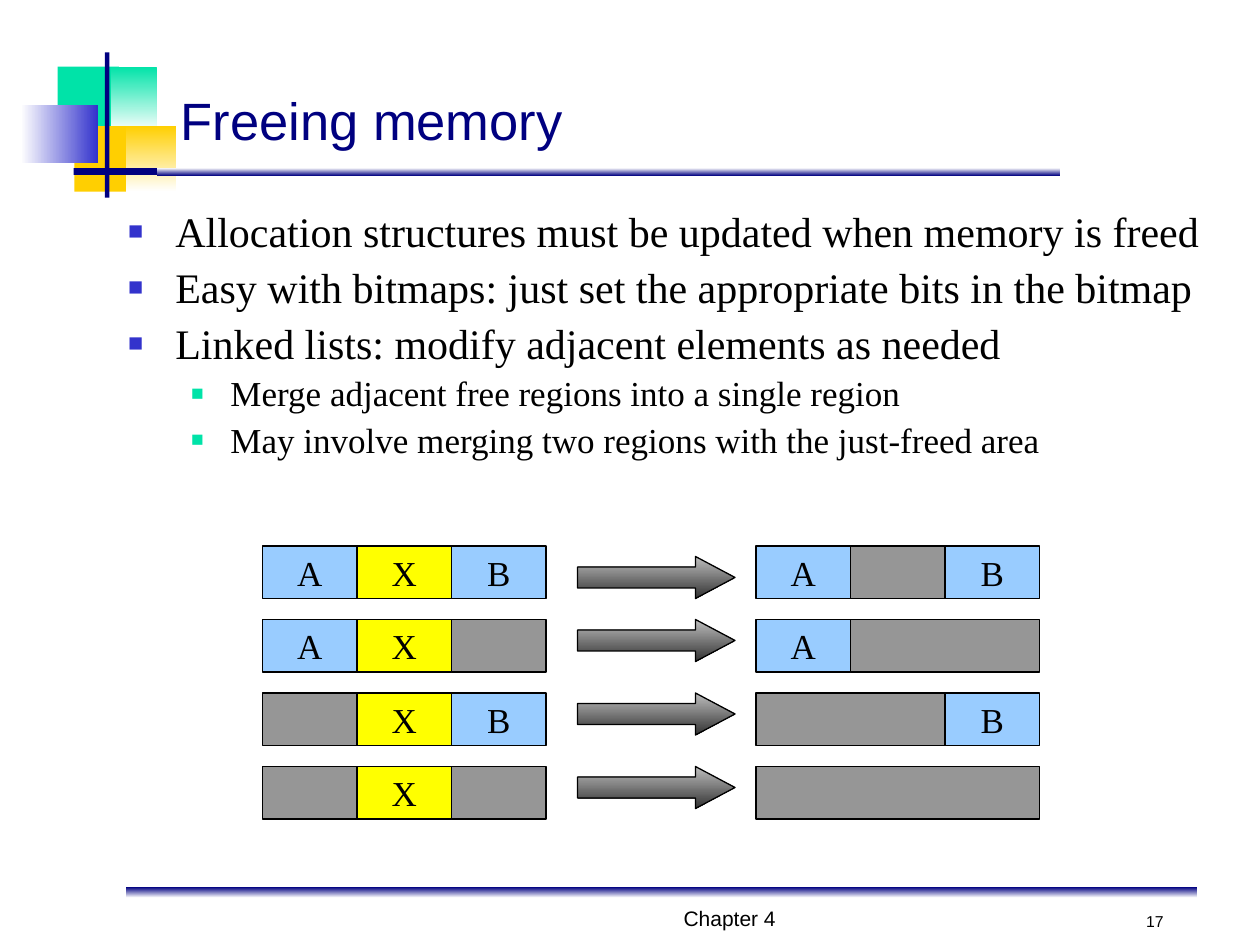
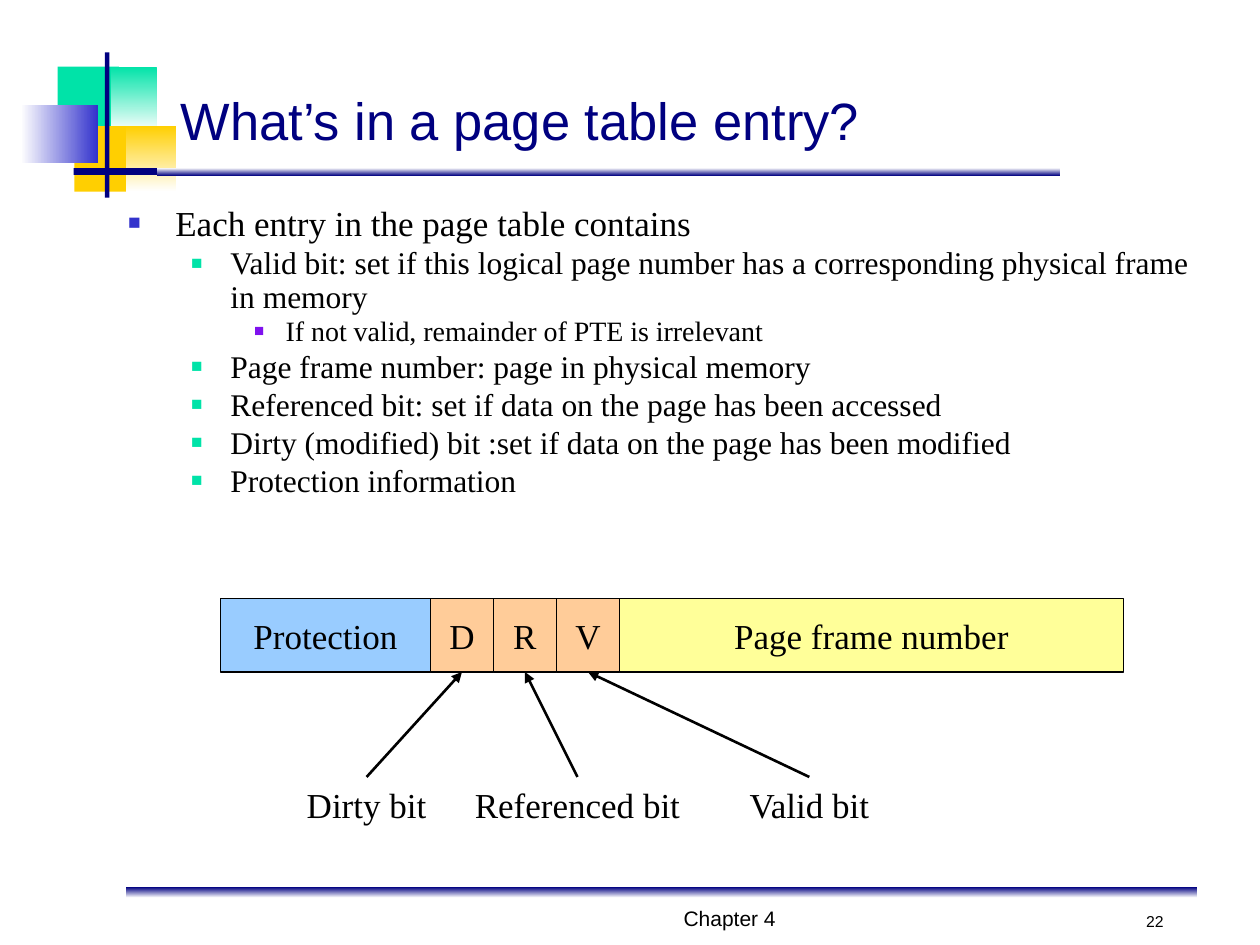
from itertools import groupby

from lxml import etree
from pptx import Presentation
from pptx.dml.color import RGBColor
from pptx.enum import shapes, text
from pptx.oxml import ns
from pptx.util import Pt

NAVY = RGBColor(0x00, 0x00, 0x80)
BLUE = RGBColor(0x33, 0x33, 0xCC)
GREEN = RGBColor(0x00, 0xE3, 0xA8)
GOLD = RGBColor(0xFF, 0xCF, 0x01)
PURPLE = RGBColor(0x7F, 0x11, 0xEE)
SKY = RGBColor(0x99, 0xCC, 0xFF)
YELLOW = RGBColor(0xFF, 0xFF, 0x00)
CREAM = RGBColor(0xFF, 0xFF, 0x99)
PEACH = RGBColor(0xFF, 0xCC, 0x99)
GRAY = RGBColor(0x96, 0x96, 0x96)
DARK = RGBColor(0x33, 0x33, 0x33)
LIGHT = RGBColor(0xBE, 0xBE, 0xBE)
BLACK = RGBColor(0x00, 0x00, 0x00)
WHITE = RGBColor(0xFF, 0xFF, 0xFF)

SANS, SERIF = "Arial", "Times New Roman"
DOWN, RIGHT = 270, 0  # gradient directions
ALIGN, ANCHOR = text.PP_ALIGN, text.MSO_ANCHOR
RECT, ARROW = shapes.MSO_SHAPE.RECTANGLE, shapes.MSO_SHAPE.RIGHT_ARROW

# Per list level: left margin, hanging indent, bullet colour
LEVELS = [(27, 27, BLUE), (58.5, 22.5, GREEN), (90, 18, PURPLE)]


# Helpers
def pts(*nums):
    return [Pt(n) for n in nums]


def style(para, size, face=SERIF, color=BLACK, align=ALIGN.LEFT):
    para.alignment = align
    font = para.font
    font.size, font.name = Pt(size), face
    font.color.rgb = color


def shape(slide, box, fill, kind=RECT, line=None, turn=DOWN):
    """Draw a shape; a pair of colours as fill makes a gradient."""
    item = slide.shapes.add_shape(kind, *pts(*box))
    item.shadow.inherit = False
    if isinstance(fill, list):
        item.fill.gradient()
        item.fill.gradient_angle = turn
        for stop, color in zip(item.fill.gradient_stops, fill):
            stop.color.rgb = color
    else:
        item.fill.solid()
        item.fill.fore_color.rgb = fill
    if line is None:
        item.line.fill.background()
    else:
        item.line.color.rgb = line
        item.line.width = Pt(0.75)
    return item


def cell(slide, box, fill, word=""):
    item = shape(slide, box, fill, line=BLACK)
    if word:
        item.text_frame.word_wrap = False
        item.text_frame.text = word
        style(item.text_frame.paragraphs[0], 20, align=ALIGN.CENTER)


def label(slide, box, words, size, face, align, anchor=ANCHOR.TOP, wrap=True):
    frame = slide.shapes.add_textbox(*pts(*box)).text_frame
    frame.word_wrap, frame.vertical_anchor = wrap, anchor
    frame.text = words
    style(frame.paragraphs[0], size, face, align=align)


def bullet(para, level):
    left, hang, color = LEVELS[level]
    props = para._p.get_or_add_pPr()
    props.set("marL", str(Pt(left)))
    props.set("indent", str(-Pt(hang)))
    tint = etree.SubElement(props, ns.qn("a:buClr"))
    etree.SubElement(tint, ns.qn("a:srgbClr"), val=str(color))
    etree.SubElement(props, ns.qn("a:buSzPct"), val="60000")
    etree.SubElement(props, ns.qn("a:buChar"), char="■")


def pointer(slide, start, end):
    line = slide.shapes.add_connector(
        shapes.MSO_CONNECTOR.STRAIGHT, *pts(*start, *end))
    line.line.color.rgb = BLACK
    line.line.width = Pt(1.5)
    etree.SubElement(line.line._get_or_add_ln(), ns.qn("a:tailEnd"), type="triangle")
    etree.SubElement(line._element.spPr, ns.qn("a:effectLst"))


# Shared frame of each slide
def emblem(slide, left, top):
    for x, y, w, h, fill, turn in [
        (21, 8, 35, 37.5, GREEN, DOWN),
        (51.5, 8, 26, 37.5, [GREEN, WHITE], DOWN),
        (30.5, 42, 33, 37.5, GOLD, DOWN),
        (60, 42, 28.5, 37.5, [GOLD, WHITE], DOWN),
        (0, 30, 44, 33, [WHITE, BLUE], RIGHT),
        (48, 0, 2.5, 83, NAVY, DOWN),
        (30, 66, 54, 4, NAVY, DOWN),
        (78, 66, 515.5, 4.5, [WHITE, NAVY], DOWN),
    ]:
        shape(slide, (left + x, top + y, w, h), fill, turn=turn)


def footer(slide, left, top, number):
    shape(slide, (left, top, 612, 6), [NAVY, WHITE])
    for x, w, words, size, align in [
        (132, 426, "Chapter 4", 12, ALIGN.CENTER),
        (570, 30, str(number), 9, ALIGN.RIGHT),
    ]:
        label(slide, (left + x, top + 9, w, 19.5), words, size, SANS, align,
              ANCHOR.BOTTOM)


def holder(item, box):
    item.left, item.top, item.width, item.height = pts(*box)
    frame = item.text_frame
    frame.auto_size, frame.word_wrap = text.MSO_AUTO_SIZE.NONE, True
    return frame


def page(deck, title, number):
    slide = deck.slides.add_slide(deck.slide_layouts[1])
    emblem(slide, 12, 30)
    frame = holder(slide.shapes.title, (96, 42, 612, 48))
    frame.vertical_anchor = ANCHOR.BOTTOM
    frame.text = title
    style(frame.paragraphs[0], 30, SANS, NAVY)
    footer(slide, 72, 507, number)
    return slide


def outline(slide, items, sizes, gaps, pitch=1.0):
    """Fill the body with (level, words) items; sizes and gaps go by level."""
    frame = holder(slide.placeholders[1], (66, 114, 639, 189))
    for i, (level, words) in enumerate(items):
        para = frame.add_paragraph() if i else frame.paragraphs[0]
        para.text, para.level = words, level
        para.line_spacing, para.space_before = pitch, Pt(gaps[level])
        bullet(para, level)
        style(para, sizes[level])


# Slide: memory regions before and after X is freed
def strip(slide, left, top, row):
    """Draw one letter per region; neighbouring free ones (-) become one."""
    wide, high = 54, 30
    fills = {"A": SKY, "B": SKY, "X": YELLOW, "-": GRAY}
    for key, run in groupby(row):
        span = wide * len(list(run))
        cell(slide, (left, top, span, high), fills[key], key.strip("-"))
        left += span


def regions(slide, left, top):
    for i, row in enumerate(["AXB", "AX-", "-XB", "-X-"]):
        y = top + 42 * i
        strip(slide, left, y, row)
        strip(slide, left + 282, y, row.replace("X", "-"))
        arrow = shape(slide, (left + 180, max(y, top + 6), 90, 24),
                      [LIGHT, DARK], ARROW, BLACK)
        arrow.adjustments[1] = 0.94


def freeing(deck):
    slide = page(deck, "Freeing memory", 17)
    outline(slide, [
        (0, "Allocation structures must be updated when memory is freed"),
        (0, "Easy with bitmaps: just set the appropriate bits in the bitmap"),
        (0, "Linked lists: modify adjacent elements as needed"),
        (1, "Merge adjacent free regions into a single region"),
        (1, "May involve merging two regions with the just-freed area"),
    ], sizes=[24, 20], gaps=[3, 2.5])
    regions(slide, 150, 312)


# Slide: fields of a page table entry
def fields(slide, left, top):
    high, drop = 42, 102
    notes = {"D": ("Dirty bit", 42, 83), "R": ("Referenced bit", 138, 132),
             "V": ("Valid bit", 294, 85)}
    x = left
    for word, wide, fill in [("Protection", 120, SKY), ("D", 36, PEACH),
                             ("R", 36, PEACH), ("V", 36, PEACH),
                             ("Page frame number", 288, CREAM)]:
        cell(slide, (x, top, wide, high), fill, word)
        if word in notes:
            note, shift, span = notes[word]
            label(slide, (left + shift, top + drop, span, 31.5), note, 20,
                  SERIF, ALIGN.CENTER, wrap=False)
            pointer(slide, (left + shift + span / 2, top + drop),
                    (x + wide / 2, top + high))
        x += wide


def entry(deck):
    slide = page(deck, "What’s in a page table entry?", 22)
    outline(slide, [
        (0, "Each entry in the page table contains"),
        (1, "Valid bit: set if this logical page number has a corresponding "
            "physical frame in memory"),
        (2, "If not valid, remainder of PTE is irrelevant"),
        (1, "Page frame number: page in physical memory"),
        (1, "Referenced bit: set if data on the page has been accessed"),
        (1, "Dirty (modified) bit :set if data on the page has been modified"),
        (1, "Protection information"),
    ], sizes=[20, 18, 16], gaps=[2.5, 2.2, 1], pitch=0.9)
    fields(slide, 126, 342)


def main():
    deck = Presentation()
    deck.slide_width, deck.slide_height = pts(720, 540)
    freeing(deck)
    entry(deck)
    deck.save("out.pptx")


if __name__ == "__main__":
    main()
